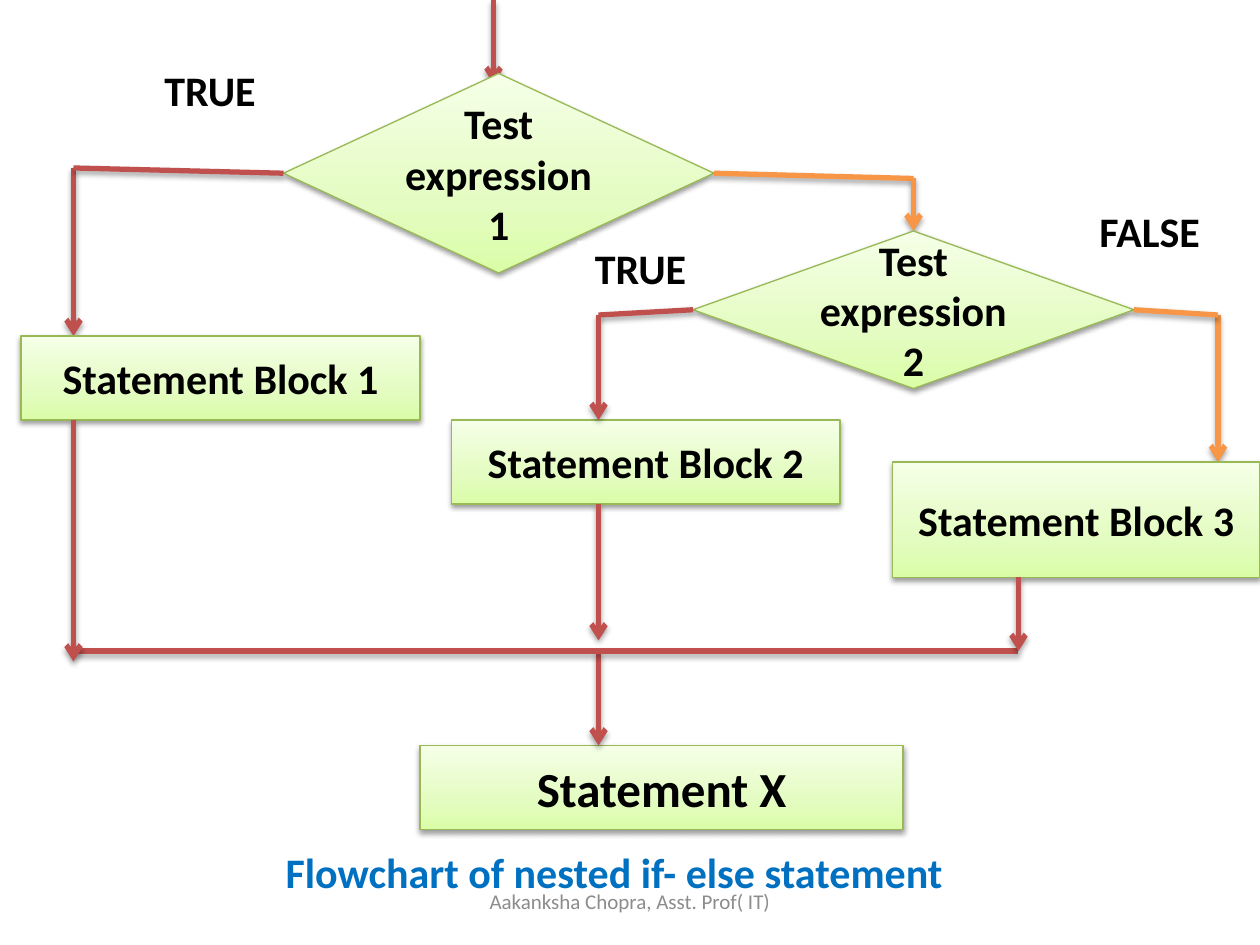
import copy
import pptx
import pptx.util
import pptx.dml.color
import pptx.enum.shapes
import pptx.enum.text
import pptx.oxml
import pptx.oxml.ns

Pt = pptx.util.Pt
RGB = pptx.dml.color.RGBColor
KIND = pptx.enum.shapes.MSO_SHAPE
ALIGN = pptx.enum.text.PP_ALIGN
ANCHOR = pptx.enum.text.MSO_ANCHOR
qn = pptx.oxml.ns.qn

BLACK = RGB(0, 0, 0)
WHITE = RGB(255, 255, 255)
GRAY = RGB(0x8C, 0x8C, 0x8C)
BLUE = RGB(0x00, 0x70, 0xC0)
RED = RGB(0xC0, 0x50, 0x4D)
ORANGE = RGB(0xF7, 0x96, 0x46)
EDGE = RGB(0x98, 0xB9, 0x55)
GREENS = [(0, RGB(0xDA, 0xFD, 0xA7)), (0.35, RGB(0xE4, 0xFC, 0xC2)),
          (1, RGB(0xF5, 0xFF, 0xE7))]


class Chart:
    font = "Calibri"
    size = 24

    def __init__(self, slide):
        self.slide = slide
        self.shapes = slide.shapes

    def letter(self, shape, text, size, color, bold=True):
        frame = shape.text_frame
        frame.word_wrap = True
        frame.auto_size = pptx.enum.text.MSO_AUTO_SIZE.NONE
        frame.vertical_anchor = ANCHOR.MIDDLE
        para = frame.paragraphs[0]
        para.text = text
        para.alignment = ALIGN.CENTER
        para.font.name = self.font
        para.font.size = Pt(size)
        para.font.bold = bold
        para.font.color.rgb = color

    def place(self, shape, box):
        shape.left, shape.top, shape.width, shape.height = map(Pt, box)

    def shade(self, props, dist, alpha):
        for old in props.findall(qn("a:effectLst")):
            props.remove(old)
        props.append(pptx.oxml.parse_xml(
            f'<a:effectLst {pptx.oxml.ns.nsdecls("a")}>'
            f'<a:outerShdw blurRad="{Pt(3.1)}" dist="{Pt(dist)}" dir="5400000" rotWithShape="0">'
            f'<a:srgbClr val="000000"><a:alpha val="{alpha * 1000}"/></a:srgbClr>'
            '</a:outerShdw></a:effectLst>'))

    def block(self, text, box, kind=KIND.RECTANGLE, size=size):
        shape = self.shapes.add_shape(kind, *map(Pt, box))
        shape.fill.gradient()
        stops = shape._element.spPr.find(qn("a:gradFill")).find(qn("a:gsLst"))
        stops.append(copy.deepcopy(stops[0]))
        for stop, (pos, color) in zip(shape.fill.gradient_stops, GREENS):
            stop.position = pos
            stop.color.rgb = color
        shape.fill.gradient_angle = 90
        shape.line.color.rgb = EDGE
        shape.line.width = Pt(0.75)
        self.shade(shape._element.spPr, 1.6, 38)
        self.letter(shape, text, size, BLACK)

    def test(self, text, box):
        self.block(text, box, KIND.FLOWCHART_DECISION)

    def label(self, text, box):
        shape = self.shapes.add_shape(KIND.RECTANGLE, *map(Pt, box))
        shape.shadow.inherit = False
        shape.fill.solid()
        shape.fill.fore_color.rgb = WHITE
        shape.line.fill.background()
        self.letter(shape, text, self.size, BLACK)

    def line(self, start, end, color=RED, arrow=False):
        link = self.shapes.add_connector(
            pptx.enum.shapes.MSO_CONNECTOR.STRAIGHT, *map(Pt, start + end))
        link.line.color.rgb = color
        link.line.width = Pt(3)
        props = link._element.spPr
        if arrow:
            props.find(qn("a:ln")).append(pptx.oxml.parse_xml(
                f'<a:tailEnd {pptx.oxml.ns.nsdecls("a")} type="arrow"/>'))
        self.shade(props, 1.8, 35)

    def arrow(self, start, end, color=RED):
        self.line(start, end, color, True)

    def title(self, text, box):
        shape = self.shapes.title
        self.place(shape, box)
        self.letter(shape, text, self.size, BLUE)

    def footer(self, text, box):
        shape = self.shapes.add_textbox(*map(Pt, box))
        self.letter(shape, text, 12, GRAY, False)


deck = pptx.Presentation()
deck.slide_width, deck.slide_height = Pt(720), Pt(540)
chart = Chart(deck.slides.add_slide(deck.slide_layouts[5]))

LEFT, MID, RIGHT = 42, 342, 582
JOIN = 372

chart.title("Flowchart of nested if- else statement", (138, 480, 426, 36))
chart.arrow((282, 0), (282, 48))
chart.test("Test expression 1", (162, 42, 246, 114))
chart.block("Statement Block 2", (258, 240, 222, 48))
chart.block("Statement X", (240, 426, 276, 48), size=28)
chart.arrow((LEFT, 96), (LEFT, 192))
chart.line((408, 99), (522, 102), ORANGE)
chart.arrow((522, 102), (522, 132), ORANGE)

for text, box in [("TRUE", (330, 138, 72, 30)), ("TRUE", (60, 30, 120, 42)),
                  ("FALSE", (606, 114, 102, 36))]:
    chart.label(text, box)

chart.block("Statement Block 1", (12, 192, 228, 48))
chart.line((LEFT, 96), (162, 99))
chart.arrow((MID, JOIN), (MID, 426))
chart.test("Test expression 2", (396, 132, 252, 90))
chart.arrow((696, 180), (696, 264), ORANGE)
chart.line((648, 177), (696, 180), ORANGE)
chart.line((MID, 180), (396, 177))
chart.arrow((MID, 180), (MID, 240))
chart.block("Statement Block 3", (510, 264, 210, 66))
chart.line((LEFT, JOIN), (RIGHT, JOIN))
for x, top, end in [(LEFT, 240, 378), (MID, 288, 366), (RIGHT, 330, JOIN)]:
    chart.arrow((x, top), (x, end))
chart.footer("Aakanksha Chopra, Asst. Prof( IT)", (246, 500.5, 228, 28.75))

deck.save("out.pptx")
